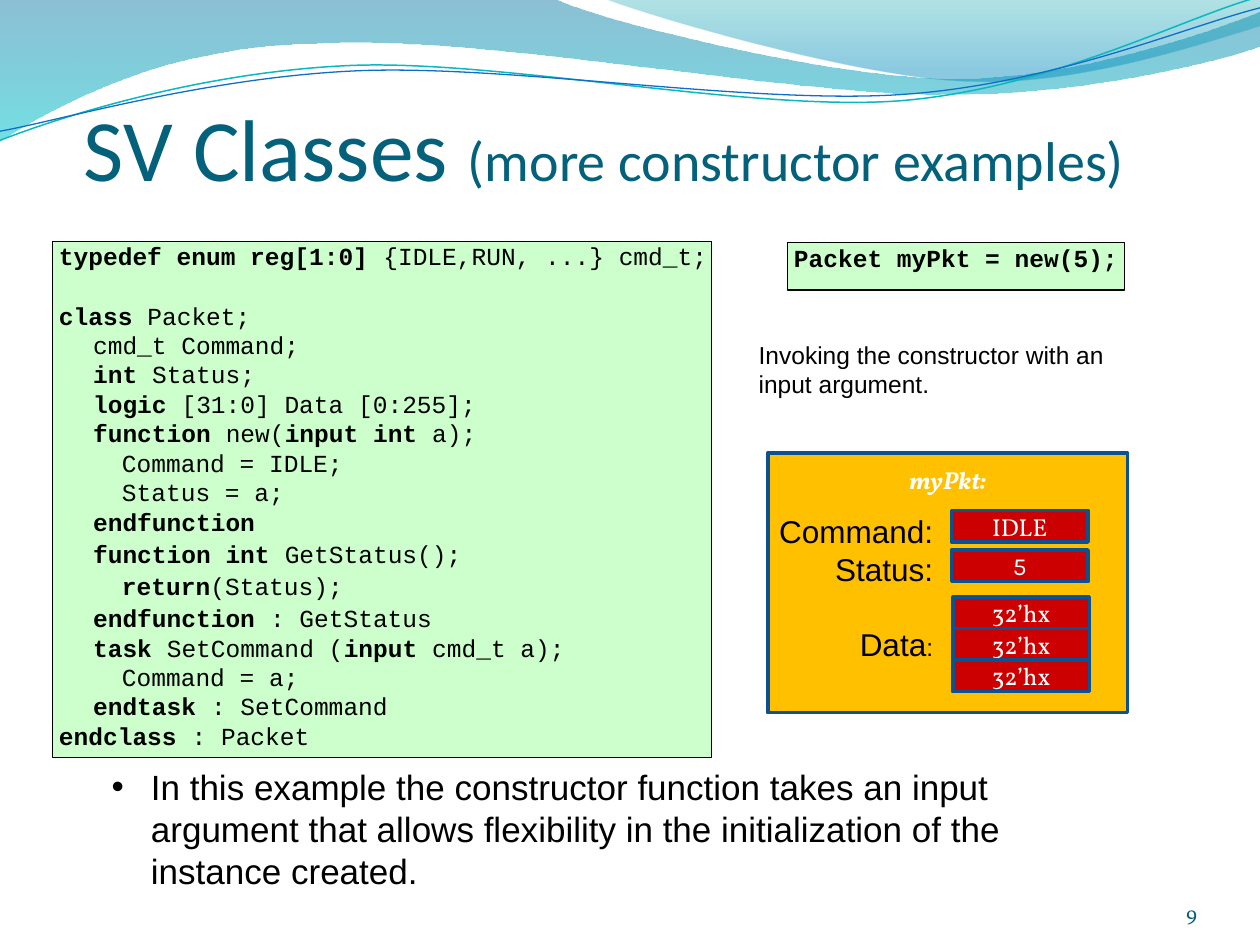
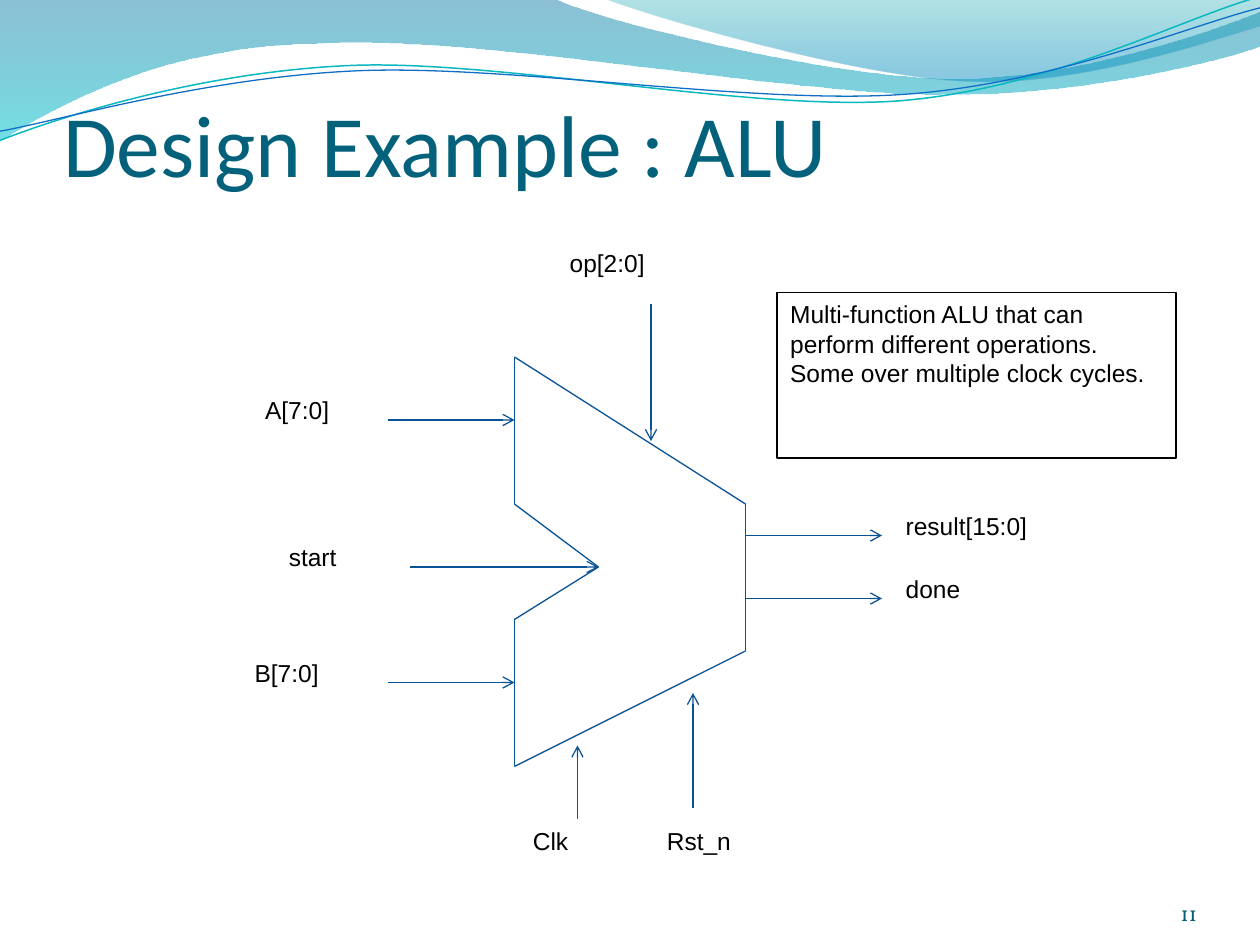
import math

from lxml import etree
from pptx import Presentation
from pptx import util as u
from pptx.dml import color as dml
from pptx.enum import shapes as kinds, text as tx
from pptx.oxml import ns

PX = 914400 / 96  # EMU per px
COLOURS = {
    "title": "04617B", "number": "045C75", "text": "000000", "light": "FFFFFF",
    "code": "CCFFCC", "object": "FFC000", "field": "CC0000", "frame": "0B5292",
    "wire": "095295", "teal": "0AB8BF", "blue": "0F6FC6",
}
# Font looks; "colour" is a key of COLOURS
TITLE = {"name": "Calibri", "size": u.Pt(50), "colour": "title"}
CODE = {"name": "Courier New", "size": u.Pt(14), "colour": "text"}
BODY = {"name": "Arial", "size": u.Pt(14), "colour": "text"}
VALUE = {"name": "Vollkorn", "size": u.Pt(14), "colour": "light"}
NUMBER = {"name": "Vollkorn", "size": u.Pt(12), "colour": "number"}

LEFT, CENTER, RIGHT = tx.PP_ALIGN.LEFT, tx.PP_ALIGN.CENTER, tx.PP_ALIGN.RIGHT
TOP, MIDDLE, BOTTOM = tx.MSO_ANCHOR.TOP, tx.MSO_ANCHOR.MIDDLE, tx.MSO_ANCHOR.BOTTOM
INSETS = (10, 5, 10, 5)

# Outlines as pieces: "L" joins points, "C" takes two controls and an end per curve
BAND = [
    ("L", [(0, -1), (422, -1)]),
    ("C", [(457, 16), (637, 60), (728, 60), (819, 60), (920, 25), (960, 9)]),
    ("L", [(961, 35)]),
    ("C", [(944, 42), (835, 73), (716, 72), (597, 72), (367, 27), (247, 33),
           (124, 34), (44, 80), (-1, 108)]),
    ("L", [(0, -1)]),
]
CORNER = [
    ("L", [(460, -1)]),
    ("C", [(489, 11), (655, 60), (738, 62), (822, 66), (923, 31), (960, 20)]),
    ("L", [(960, 0), (460, -1)]),
]
# Colour, width, centre of rotation, knots
RIBBONS = [
    ("teal", 0.85, (479, 55),
     [(0, 107), (46, 89), (152, 55), (266, 50), (379, 45),
      (569, 85), (684, 77), (800, 68), (900, 14), (958, -2)]),
    ("blue", 0.75, (480, 57),
     [(0, 100), (45, 92), (157, 59), (272, 54), (387, 49),
      (573, 80), (688, 72), (803, 64), (904, 20), (960, 6)]),
]
RIBBON_TILT = 2.7  # degrees, counter-clockwise

# Indent in px, space before in points, code with *bold* parts
PACKET_CODE = [
    (5, 0, "*typedef enum reg[1:0] *{IDLE,RUN, ...} cmd_t;"),
    (5, 17, "*class *Packet;"),
    (31, 0, "cmd_t Command;"),
    (31, 0, "*int *Status;"),
    (31, 0, "*logic *[31:0] Data [0:255];"),
    (31, 0, "*function* new(*input int* a);"),
    (53, 0, "Command = IDLE;"),
    (53, 0, "Status = a;"),
    (31, 0, "*endfunction*"),
    (31, 1.6, "*function int *GetStatus();"),
    (53, 1.6, "*return*(Status);"),
    (31, 1.6, "*endfunction *: GetStatus"),
    (31, 0, "*task *SetCommand (*input *cmd_t a);"),
    (53, 0, "Command = a;"),
    (31, 0, "*endtask *: SetCommand"),
    (5, 0, "*endclass *: Packet"),
]
ALU_CORNERS = [(568, 384), (392, 272), (392, 384), (456, 432),
               (392, 472), (392, 584), (568, 496), (568, 440)]
ALU_WIRES = [
    ((296, 320), (392, 320)), ((312, 432), (456, 432)), ((296, 520), (392, 520)),
    ((496, 232), (496, 336)), ((440, 624), (440, 568)), ((528, 616), (528, 528)),
    ((568, 408), (672, 408)), ((568, 456), (672, 456)),
]
# Label, left, top, width, indent
ALU_LABELS = [
    ("A[7:0]", 192, 296, 104, 0), ("start", 200, 408, 104, 10),
    ("B[7:0]", 184, 496, 104, 0), ("Clk", 376, 624, 104, 20),
    ("Rst_n", 488, 624, 120, 10), ("op[2:0]", 424, 184, 120, 0),
    ("result[15:0]", 680, 384, 168, 0), ("done", 680, 432, 168, 0),
]


def emu(*lengths):
    return [u.Emu(round(length * PX)) for length in lengths]


def rgb(hex_string):
    return dml.RGBColor.from_string(hex_string)


# --- Text ---

def set_all(target, values):
    for name, value in values.items():
        setattr(target, name, value)


def write(frame, paras, look, align=LEFT, anchor=TOP, insets=INSETS, wrap=True):
    """paras: lists of (text, font changes), each with a paragraph format dict."""
    sides = ("margin_left", "margin_top", "margin_right", "margin_bottom")
    set_all(frame, dict(zip(sides, emu(*insets))))
    set_all(frame, {"word_wrap": wrap, "vertical_anchor": anchor,
                    "auto_size": tx.MSO_AUTO_SIZE.NONE})
    for index, (spans, layout) in enumerate(paras):
        para = frame.add_paragraph() if index else frame.paragraphs[0]
        set_all(para, {"alignment": align, **layout})
        for text, changes in spans:
            span = para.add_run()
            span.text = text
            font = {**look, **changes}
            span.font.color.rgb = rgb(COLOURS[font.pop("colour")])
            set_all(span.font, font)


def plain(text):
    return [([(text, {})], {})]


def indent(para, left, first=0, bullet=None):
    props = para._p.get_or_add_pPr()
    props.set("marL", str(emu(left)[0]))
    props.set("indent", str(emu(first)[0]))
    if bullet:
        etree.SubElement(props, ns.qn("a:buFont")).set("typeface", "Arial")
        etree.SubElement(props, ns.qn("a:buChar")).set("char", bullet)


def add_text(page, place, paras, look, **options):
    box = page.shapes.add_textbox(*emu(*place))
    write(box.text_frame, paras, look, **options)
    return box


# --- Shapes ---

def paint(shape, fill, line, width):
    if fill:
        shape.fill.solid()
        shape.fill.fore_color.rgb = rgb(COLOURS[fill])
    else:
        shape.fill.background()
    shape.line.color.rgb = rgb(COLOURS[line])
    shape.line.width = u.Pt(width)


def add_panel(page, place, fill, line, width, paras, look, **options):
    panel = page.shapes.add_shape(kinds.MSO_SHAPE.RECTANGLE, *emu(*place))
    panel.shadow.inherit = False
    paint(panel, fill, line, width)
    write(panel.text_frame, paras, look, **options)
    return panel


def add_code(page, place, lines):
    paras = []
    for _, space, code in lines:
        parts = enumerate(code.split("*"))
        spans = [(part, {"bold": i % 2 == 1}) for i, part in parts if part]
        paras.append((spans, {"space_before": u.Pt(space)}))
    panel = add_panel(page, place, "code", "text", 0.75, paras, CODE,
                      insets=(0, 0, 0, 0))
    for para, (left, _, _) in zip(panel.text_frame.paragraphs, lines):
        indent(para, left)


def add_outline(page, pieces, close=True):
    start, *rest = [(kind, emu(*point)) for kind, points in pieces for point in points]
    builder = page.shapes.build_freeform(*start[1], scale=1.0)
    builder.add_line_segments([point for _, point in rest], close=close)
    shape = builder.convert_to_shape()
    shape.shadow.inherit = False
    # Merge each three curve points into one Bezier segment
    segments = list(shape.element.iter(ns.qn("a:lnTo")))
    bends = [node for node, (kind, _) in zip(segments, rest) if kind == "C"]
    for first, second, third in zip(bends[::3], bends[1::3], bends[2::3]):
        first.tag = ns.qn("a:cubicBezTo")
        for node in (second, third):
            first.append(node[0])
            node.getparent().remove(node)
    return shape


def add_wire(page, start, end, arrow=False):
    wire = page.shapes.add_connector(
        kinds.MSO_CONNECTOR.STRAIGHT, *emu(*start, *end))
    wire.line.color.rgb = rgb(COLOURS["wire"])
    wire.line.width = u.Pt(0.75)
    props = wire.element.spPr
    if arrow:
        tail = etree.SubElement(props.find(ns.qn("a:ln")), ns.qn("a:tailEnd"))
        tail.set("type", "arrow")
    etree.SubElement(props, ns.qn("a:effectLst"))


# --- Shared wave header, title and number ---

def add_wave(page, pieces, stops):
    """stops: (position, hex colour, opacity in percent), from top to bottom."""
    wave = add_outline(page, pieces)
    wave.line.fill.background()
    wave.fill.gradient()
    wave.fill.gradient_angle = 270
    for stop, (position, colour, _) in zip(wave.fill.gradient_stops, stops):
        stop.position = position
        stop.color.rgb = rgb(colour)
    for node, (_, _, opacity) in zip(wave.element.spPr.iter(ns.qn("a:srgbClr")), stops):
        etree.SubElement(node, ns.qn("a:alpha")).set("val", str(opacity * 1000))


def turn(point, centre, degrees):
    cos, sin = math.cos(math.radians(degrees)), math.sin(math.radians(degrees))
    x, y = point[0] - centre[0], point[1] - centre[1]
    return centre[0] + x * cos - y * sin, centre[1] + x * sin + y * cos


def add_ribbon(page, colour, width, centre, knots):
    level = [turn(knot, centre, RIBBON_TILT) for knot in knots]
    ribbon = add_outline(page, [("L", level[:1]), ("C", level[1:])], close=False)
    ribbon.rotation = 360 - RIBBON_TILT
    paint(ribbon, None, colour, width)


def add_page(deck, title_spans, title_place, number):
    page = deck.slides.add_slide(deck.slide_layouts[5])
    add_wave(page, BAND, [(0, "0074A1", 45), (1, "00C6CF", 55)])
    add_wave(page, CORNER, [(0, "00A1A9", 30), (0.8, "008BBF", 45)])
    for ribbon in RIBBONS:
        add_ribbon(page, *ribbon)
    add_text(page, (832, 667, 80, 38), plain(number), NUMBER,
             align=RIGHT, anchor=BOTTOM, insets=(0, 0, 0, 0))
    title = page.shapes.title
    sides = ("left", "top", "width", "height")
    set_all(title, dict(zip(sides, emu(*title_place))))
    write(title.text_frame, [(title_spans, {})], TITLE, anchor=BOTTOM,
          insets=(0, 5, 0, 0))
    return page


# --- Slides ---

def build_constructor_page(deck):
    page = add_page(deck, [("SV Classes ", {}),
                           ("(more constructor examples)", {"size": u.Pt(32)})],
                    (64, 32, 864, 120), "9")
    add_code(page, (40, 184, 502, 393), PACKET_CODE)
    add_code(page, (600, 185, 257, 36), [(5, 0, "*Packet myPkt = new(5);*")])
    add_text(page, (568, 254, 311, 55),
             plain("Invoking the constructor with an input argument."), BODY)

    # Packet object with its fields
    add_panel(page, (585, 345, 274, 198), "object", "frame", 2, plain("myPkt:"),
              {**VALUE, "bold": True, "italic": True},
              align=CENTER, insets=(10, 9, 10, 5))
    labels = [([("Command:", {})], {}), ([("Status:", {})], {}),
              ([("Data", {}), (":", {"size": u.Pt(14)})], {"space_before": u.Pt(21.5)})]
    add_text(page, (583, 385, 138, 126), labels, {**BODY, "size": u.Pt(18)},
             align=RIGHT, wrap=False)
    fields = [("IDLE", 725, 389, "Vollkorn"), ("5", 725, 419, "Karla")]
    fields += [("32’hx", 726, 455 + 24 * row, "Vollkorn") for row in range(3)]
    for value, x, y, font in fields:
        add_panel(page, (x, y, 104, 24), "field", "frame", 2, plain(value),
                  {**VALUE, "name": font}, align=CENTER, anchor=MIDDLE)

    remark = add_text(page, (75, 578, 782, 107), plain(
        "In this example the constructor function takes an input argument that "
        "allows flexibility in the initialization of the instance created."),
        {**BODY, "size": u.Pt(20)})
    indent(remark.text_frame.paragraphs[0], 30, -30, "•")


def build_alu_page(deck):
    page = add_page(deck, [("Design Example : ALU", {})], (48, 29, 864, 120), "11")
    for start, end in zip(ALU_CORNERS, ALU_CORNERS[1:] + ALU_CORNERS[:1]):
        add_wire(page, start, end)
    for start, end in ALU_WIRES:
        add_wire(page, start, end, arrow=True)
    for label, x, y, width, left in ALU_LABELS:
        box = add_text(page, (x, y, width, 38), plain(label), BODY)
        indent(box.text_frame.paragraphs[0], left)
    add_panel(page, (592, 223, 304, 126), None, "text", 0.75, plain(
        "Multi-function ALU that can perform different operations. "
        "Some over multiple clock cycles."), BODY)


def main():
    deck = Presentation()
    deck.slide_width, deck.slide_height = emu(960, 720)
    build_constructor_page(deck)
    build_alu_page(deck)
    deck.save("out.pptx")


if __name__ == "__main__":
    main()
